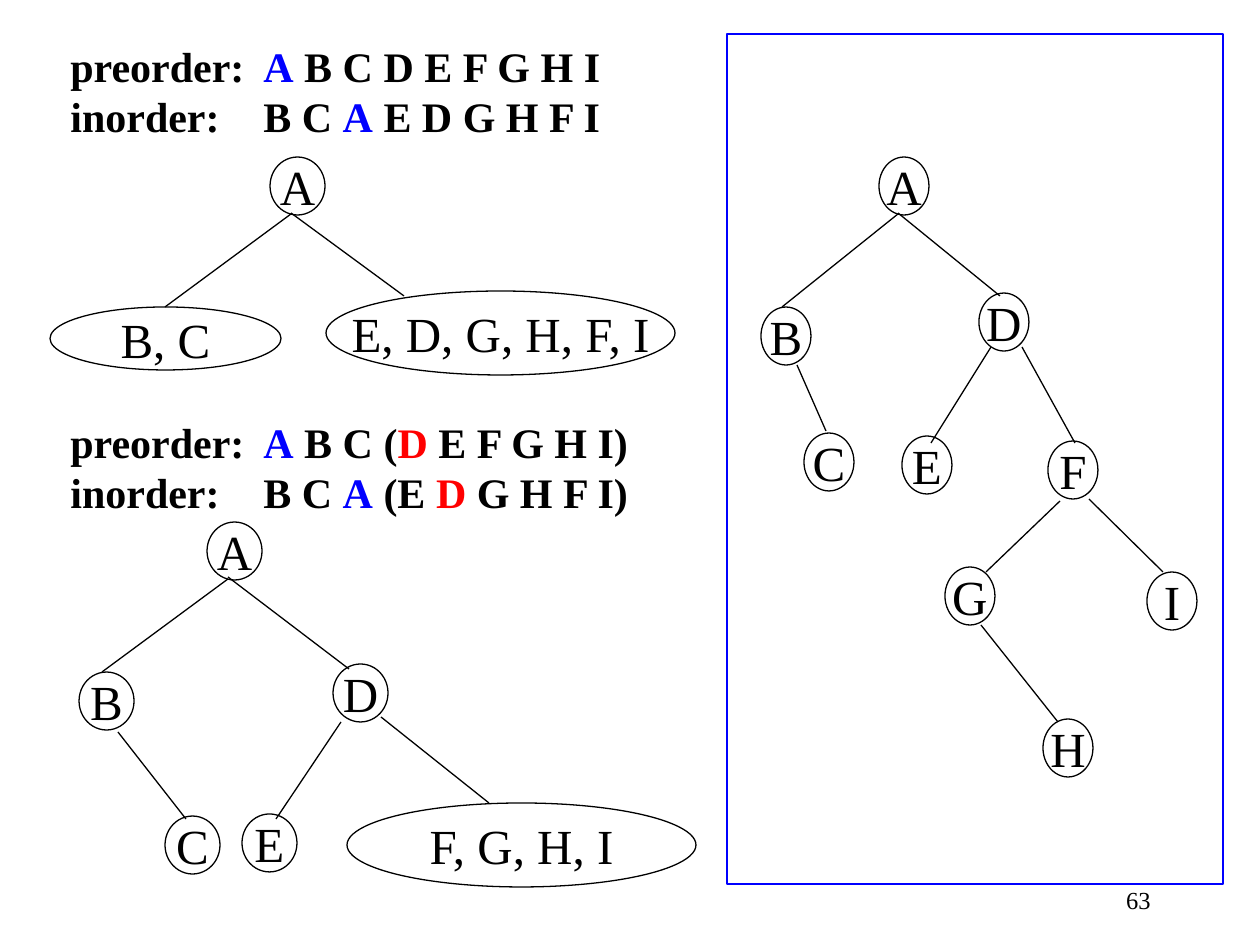
"""Build a slide that rebuilds a binary tree from its preorder and inorder walks."""
import pptx
import pptx.dml.color
import pptx.enum.shapes
import pptx.enum.text
import pptx.util
from lxml import etree
from pptx.oxml.ns import qn

SCALE = 914400 / 126
FONT = "Times New Roman"
BLACK, BLUE, RED = "000000", "0000FF", "FF0000"
TAB = 193

ORDERS = [
    (34, [
        [("preorder:\t", BLACK), ("A", BLUE), (" B C D E F G H I", BLACK)],
        [("inorder:\tB C ", BLACK), ("A", BLUE), (" E D G H F I", BLACK)],
    ]),
    (410, [
        [("preorder:\t", BLACK), ("A", BLUE), (" B C (", BLACK), ("D", RED),
         (" E F G H I)", BLACK)],
        [("inorder:\tB C ", BLACK), ("A", BLUE), (" (E ", BLACK), ("D", RED),
         (" G H F I)", BLACK)],
    ]),
]

FIRST_TREE = {
    "node size": (55, 58),
    "nodes": [("A", 270, 157)],
    "groups": [("B, C", 50, 307, 231, 63), ("E, D, G, H, F, I", 326, 291, 349, 84)],
    "edges": [(291, 214, 165, 307), (291, 213, 404, 296)],
}
SECOND_TREE = {
    "node size": (55, 58),
    "nodes": [("A", 207, 522), ("B", 79, 672), ("C", 165, 816),
              ("D", 333, 664), ("E", 242, 814)],
    "groups": [("F, G, H, I", 347, 803, 349, 84)],
    "edges": [(228, 579, 102, 672), (228, 577, 349, 669), (118, 732, 186, 819),
              (341, 722, 276, 819), (381, 717, 489, 803)],
}
FINAL_TREE = {
    "node size": (50, 58),
    "nodes": [("A", 879, 157), ("B", 761, 307), ("C", 804, 433),
              ("D", 979, 293), ("E", 902, 436), ("F", 1048, 441),
              ("G", 945, 567), ("H", 1043, 719), ("I", 1147, 572)],
    "groups": [],
    "edges": [(898, 214, 782, 307), (898, 213, 1000, 296), (797, 365, 826, 431),
              (991, 347, 931, 443), (1022, 347, 1075, 443), (1060, 501, 986, 572),
              (1089, 499, 1163, 572), (981, 625, 1058, 722)],
}
FRAME = (727, 34, 496, 850)
PAGE_NUMBER = ("63", (901, 879, 262, 63))


def px(*lengths):
    return [pptx.util.Emu(round(length * SCALE)) for length in lengths]


def rgb(value):
    return pptx.dml.color.RGBColor.from_string(value)


def style_font(font, size, bold=False):
    font.name = FONT
    font.size = pptx.util.Pt(size)
    font.bold = bold
    font.color.rgb = rgb(BLACK)


def add_outline(page, kind, place, color):
    shape = page.shapes.add_shape(kind, *px(*place))
    shape.shadow.inherit = False
    shape.fill.background()
    shape.line.color.rgb = rgb(color)
    shape.line.width = pptx.util.Pt(0.75)
    return shape


def add_node(page, label, place):
    node = add_outline(page, pptx.enum.shapes.MSO_SHAPE.OVAL, place, BLACK)
    frame = node.text_frame
    frame.word_wrap = False
    frame.vertical_anchor = pptx.enum.text.MSO_ANCHOR.MIDDLE
    para = frame.paragraphs[0]
    para.text = label
    para.alignment = pptx.enum.text.PP_ALIGN.CENTER
    style_font(para.font, 28)


def add_edge(page, ends):
    straight = pptx.enum.shapes.MSO_CONNECTOR.STRAIGHT
    edge = page.shapes.add_connector(straight, *px(*ends))
    edge.line.color.rgb = rgb(BLACK)
    edge.line.width = pptx.util.Pt(0.75)
    etree.SubElement(edge._element.spPr, qn("a:effectLst"))


def add_tree(page, tree):
    for label, left, top in tree["nodes"]:
        add_node(page, label, (left, top, *tree["node size"]))
    for label, *place in tree["groups"]:
        add_node(page, label, place)
    for ends in tree["edges"]:
        add_edge(page, ends)


def add_orders(page, top, rows):
    box = page.shapes.add_textbox(*px(58, top, 600, 113))
    frame = box.text_frame
    frame.word_wrap = True
    for index, row in enumerate(rows):
        para = frame.add_paragraph() if index else frame.paragraphs[0]
        tabs = etree.SubElement(para._p.get_or_add_pPr(), qn("a:tabLst"))
        etree.SubElement(tabs, qn("a:tab"), pos=str(px(TAB)[0]), algn="l")
        para.line_spacing = pptx.util.Pt(28.8)
        style_font(para.font, 24, bold=True)
        for text, color in row:
            span = para.add_run()
            span.text = text
            span.font.color.rgb = rgb(color)


def add_page_number(page, text, place):
    box = page.shapes.add_textbox(*px(*place))
    box.text_frame.word_wrap = True
    para = box.text_frame.paragraphs[0]
    para.text = text
    para.alignment = pptx.enum.text.PP_ALIGN.RIGHT
    style_font(para.font, 14)


def main():
    deck = pptx.Presentation()
    deck.slide_width, deck.slide_height = px(1260, 945)
    page = deck.slides.add_slide(deck.slide_layouts[6])
    for top, rows in ORDERS:
        add_orders(page, top, rows)
    for tree in (FIRST_TREE, SECOND_TREE, FINAL_TREE):
        add_tree(page, tree)
    add_outline(page, pptx.enum.shapes.MSO_SHAPE.RECTANGLE, FRAME, BLUE)
    add_page_number(page, *PAGE_NUMBER)
    deck.save("out.pptx")


if __name__ == "__main__":
    main()
